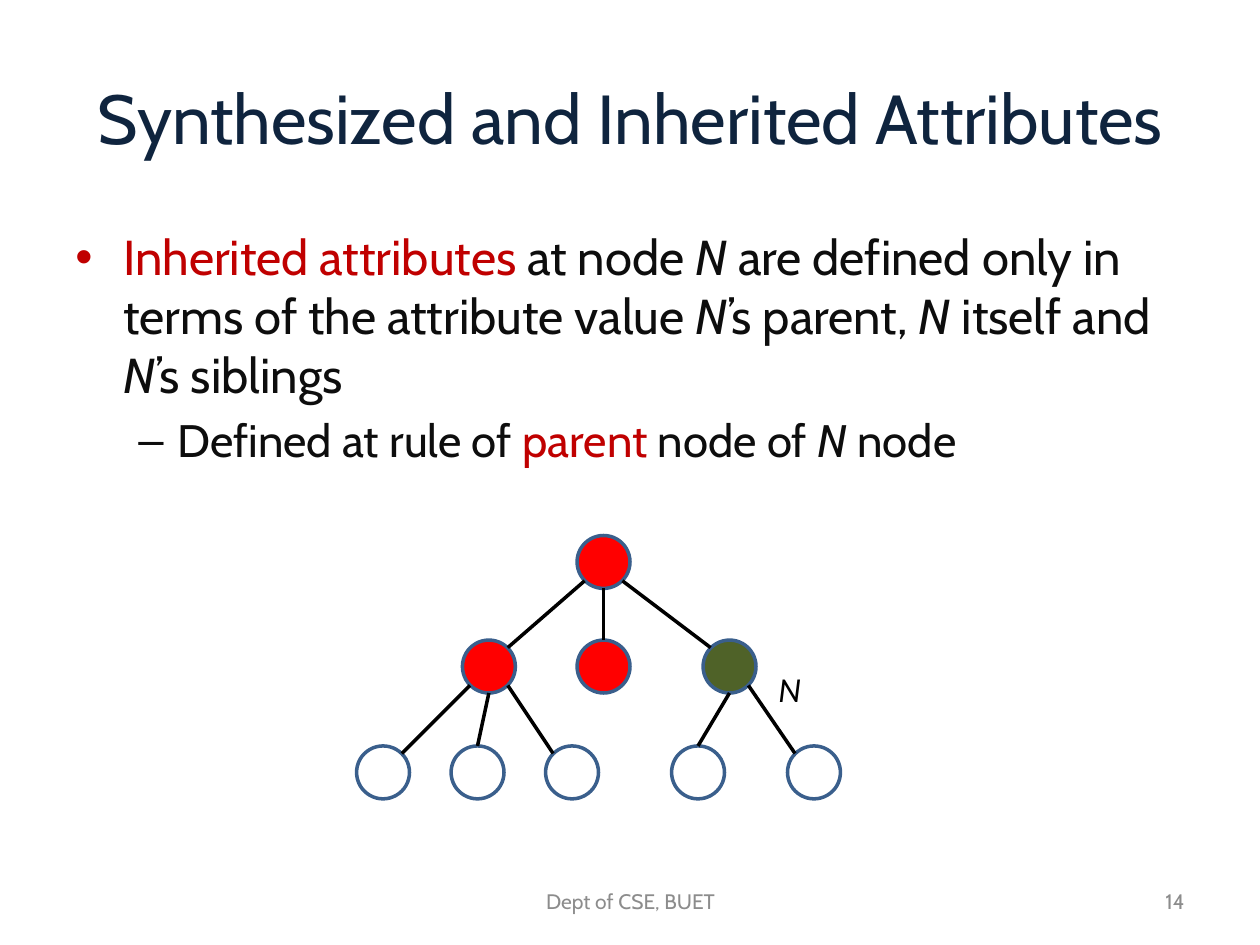
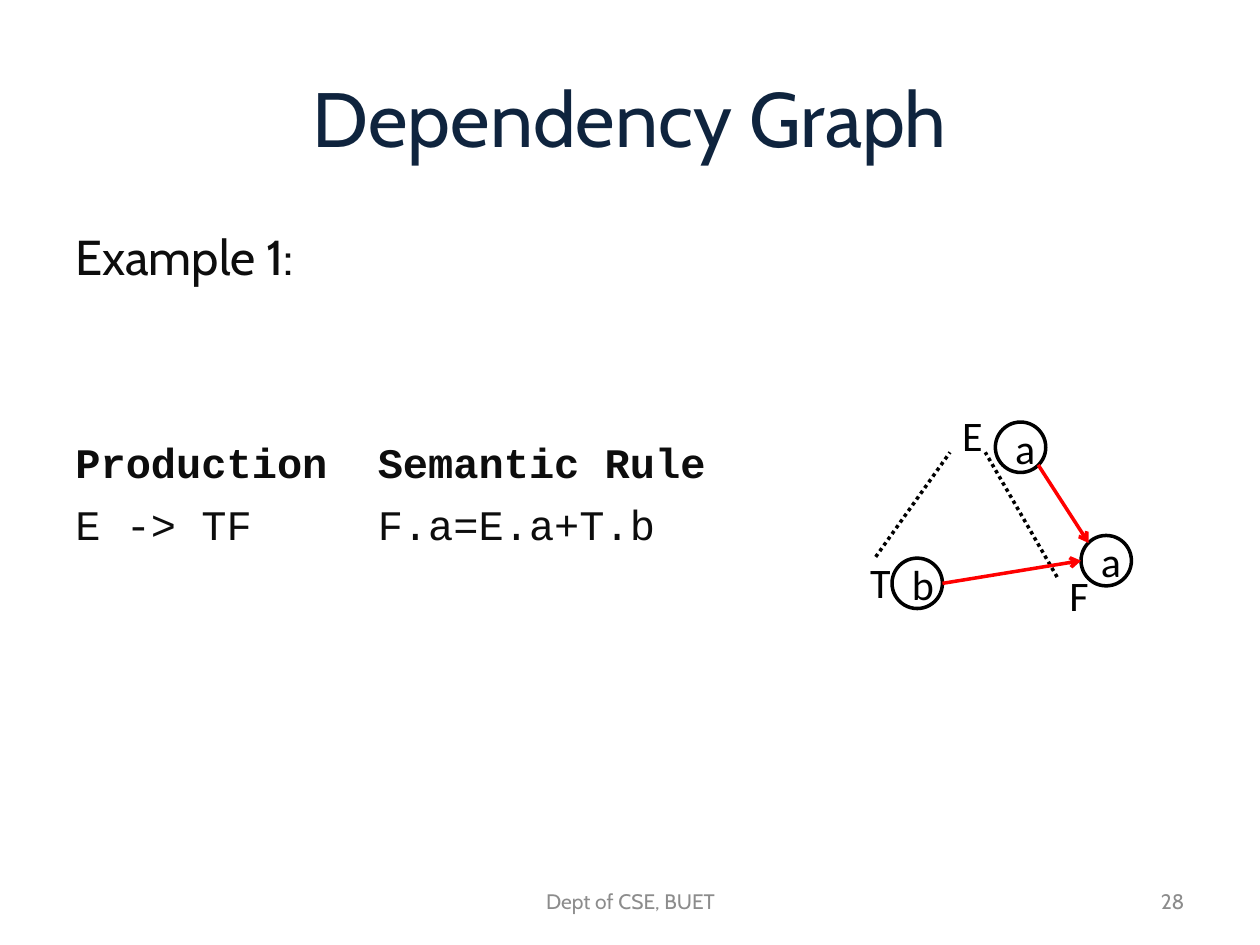
"""Build two lecture slides: inherited attributes in a tree and a dependency graph."""
import pptx
import pptx.util
import pptx.dml.color
import pptx.enum.dml
import pptx.enum.shapes
import pptx.enum.text
import pptx.oxml
import pptx.oxml.ns

Inches = pptx.util.Inches
Pt = pptx.util.Pt
RGBColor = pptx.dml.color.RGBColor
ALIGN = pptx.enum.text.PP_ALIGN
MIDDLE = pptx.enum.text.MSO_ANCHOR.MIDDLE
OVAL = pptx.enum.shapes.MSO_SHAPE.OVAL
DOTTED = pptx.enum.dml.MSO_LINE.ROUND_DOT
NS = pptx.oxml.ns.nsdecls("a")

NAVY = RGBColor(0x0F, 0x24, 0x3E)
INK = RGBColor(0x0D, 0x0D, 0x0D)
CRIMSON = RGBColor(0xC0, 0x00, 0x00)
GREY = RGBColor(0x8C, 0x8C, 0x8C)
BLACK = RGBColor(0x00, 0x00, 0x00)
WHITE = RGBColor(0xFF, 0xFF, 0xFF)
RED = RGBColor(0xFF, 0x00, 0x00)
OLIVE = RGBColor(0x4F, 0x62, 0x28)
STEEL = RGBColor(0x3A, 0x5F, 0x8C)

TITLE_SHADOW = (
    f'<a:effectLst {NS}><a:outerShdw blurRad="38100" dist="38100" dir="2700000" algn="tl">'
    '<a:srgbClr val="000000"><a:alpha val="43000"/></a:srgbClr></a:outerShdw></a:effectLst>'
)


def add_run(p, text, size=28, font="Cabin", color=INK, bold=False, italic=False, align=None):
    r = p.add_run()
    r.text = text
    r.font.size = Pt(size)
    r.font.name = font
    r.font.color.rgb = color
    r.font.bold = bold
    r.font.italic = italic
    if align is not None:
        p.alignment = align
    return r


def add_line(s, start, end, color=BLACK, dash=None, arrow=False):
    cxn = s.shapes.add_connector(
        pptx.enum.shapes.MSO_CONNECTOR.STRAIGHT, *[Inches(v) for v in (*start, *end)])
    cxn.line.color.rgb = color
    cxn.line.width = Pt(2)
    if dash is not None:
        cxn.line.dash_style = dash
    if arrow:
        cxn.line._get_or_add_ln().append(pptx.oxml.parse_xml(f'<a:tailEnd {NS} type="arrow"/>'))
    cxn._element.spPr.append(pptx.oxml.parse_xml(f"<a:effectLst {NS}/>"))


prs = pptx.Presentation()
prs.slide_width = Inches(10)
prs.slide_height = Inches(7.5)

slides = []
bodies = []
for title, size, number in [
    ("Synthesized and Inherited Attributes", 39.6, "14"),
    ("Dependency Graph", 44, "28"),
]:
    s = prs.slides.add_slide(prs.slide_layouts[5])
    sp = s.shapes.title
    sp.left, sp.top, sp.width, sp.height = [Inches(v) for v in (0.5, 0.3, 9, 1.25)]
    tf = sp.text_frame
    tf.word_wrap = True
    tf.auto_size = pptx.enum.text.MSO_AUTO_SIZE.NONE
    tf.vertical_anchor = MIDDLE
    r = add_run(tf.paragraphs[0], title, size=size, color=NAVY, align=ALIGN.CENTER)
    fill = r._r.rPr.find(pptx.oxml.ns.qn("a:solidFill"))
    fill.addnext(pptx.oxml.parse_xml(TITLE_SHADOW))

    body = s.shapes.add_textbox(Inches(0.5), Inches(1.75), Inches(9), Inches(4.95)).text_frame
    body.word_wrap = True

    for text, left, width, align in [
        ("Dept of CSE, BUET", 3.42, 3.17, ALIGN.CENTER),
        (number, 7.17, 2.33, ALIGN.RIGHT),
    ]:
        tf = s.shapes.add_textbox(Inches(left), Inches(6.95), Inches(width), Inches(0.4)).text_frame
        tf.word_wrap = True
        tf.vertical_anchor = MIDDLE
        add_run(tf.paragraphs[0], text, size=12, color=GREY, align=align)
    slides.append(s)
    bodies.append(body)

s, tf = slides[0], bodies[0]
points = [
    ("\u2022", 0.38, 0.38, 28, [
        ("Inherited attributes", CRIMSON), (" at node ", INK), ("N", INK),
        (" are defined only in terms of the attribute value ", INK), ("N", INK),
        ("\u2019s parent, ", INK), ("N", INK), (" itself and ", INK), ("N", INK),
        ("\u2019s siblings", INK)]),
    ("\u2013", 0.81, 0.31, 26, [
        ("Defined at rule of ", INK), ("parent", CRIMSON), (" node of ", INK),
        ("N", INK), (" node", INK)]),
]
for i, (bullet, margin, hanging, size, runs) in enumerate(points):
    p = tf.add_paragraph() if i else tf.paragraphs[0]
    p.level = i
    p.space_before = Pt(0.2 * size)
    for text, color in runs:
        add_run(p, text, size=size, color=color, italic=text == "N")
    pPr = p._p.get_or_add_pPr()
    pPr.set("marL", str(Inches(margin)))
    pPr.set("indent", str(-Inches(hanging)))
    pPr.append(pptx.oxml.parse_xml(f'<a:buFont {NS} typeface="Arial"/>'))
    pPr.append(pptx.oxml.parse_xml(f'<a:buChar {NS} char="{bullet}"/>'))

NODE = 0.42
LEVELS = [4.46, 5.29, 6.13]
nodes = {
    "root": (4.79, 0, RED, None),
    "left": (3.88, 1, RED, "root"),
    "middle": (4.79, 1, RED, "root"),
    "n": (5.79, 1, OLIVE, "root"),
    "n1": (5.54, 2, None, "n"),
    "n2": (6.46, 2, None, "n"),
    "left1": (3.04, 2, None, "left"),
    "left2": (3.79, 2, None, "left"),
    "left3": (4.54, 2, None, "left"),
}
for x, level, color, parent in nodes.values():
    sp = s.shapes.add_shape(OVAL, Inches(x - NODE / 2), Inches(LEVELS[level] - NODE / 2),
                            Inches(NODE), Inches(NODE))
    sp.shadow.inherit = False
    sp.line.color.rgb = STEEL
    sp.line.width = Pt(2)
    if color is None:
        sp.fill.background()
    else:
        sp.fill.solid()
        sp.fill.fore_color.rgb = color

for x, level, color, parent in nodes.values():
    if parent:
        px = nodes[parent][0]
        side = 0 if abs(x - px) < 0.5 else (1 if x > px else -1)
        dx, dy = 0.15 * side, 0.15 if side else NODE / 2
        add_line(s, (px + dx, LEVELS[level - 1] + dy), (x - dx, LEVELS[level] - dy))

tf = s.shapes.add_textbox(Inches(6.08), Inches(5.25), Inches(0.38), Inches(0.44)).text_frame
tf.word_wrap = False
add_run(tf.paragraphs[0], "N", size=20, font="Calibri", color=BLACK, italic=True)

s, tf = slides[1], bodies[1]
for i, (text, gap, size, font, bold) in enumerate([
    ("Example 1:", 5.6, 28, "Cabin", False),
    ("Production\tSemantic Rule", 86, 24, "Courier New", True),
    ("E -> TF\tF.a=E.a+T.b", 7, 24, "Courier New", False),
]):
    p = tf.add_paragraph() if i else tf.paragraphs[0]
    p.space_before = Pt(gap)
    add_run(p, text, size=size, font=font, bold=bold)
    if "\t" in text:
        p._p.get_or_add_pPr().append(pptx.oxml.parse_xml(
            f'<a:tabLst {NS}><a:tab pos="{Inches(2.4)}" algn="l"/></a:tabLst>'))

symbols = [("E", 7.48, 3.25), ("T", 6.75, 4.42), ("F", 8.33, 4.52)]
attributes = [("a", 7.9, 3.35), ("b", 7.08, 4.43), ("a", 8.58, 4.25)]
for group, outline in [(symbols, WHITE), (attributes, BLACK)]:
    for text, left, top in group:
        sp = s.shapes.add_shape(OVAL, Inches(left), Inches(top), Inches(0.4), Inches(0.4))
        sp.shadow.inherit = False
        sp.line.color.rgb = outline
        sp.line.width = Pt(2)
        if text == "b":
            sp.fill.background()
        else:
            sp.fill.solid()
            sp.fill.fore_color.rgb = WHITE
        add_run(sp.text_frame.paragraphs[0], text, size=24, font="Calibri", color=BLACK,
                align=ALIGN.CENTER)
    if group is symbols:
        add_line(s, (6.95, 4.42), (7.54, 3.59), dash=DOTTED)
        add_line(s, (8.39, 4.58), (7.82, 3.59), dash=DOTTED)

add_line(s, (7.48, 4.63), (8.58, 4.45), color=RED, arrow=True)
add_line(s, (8.24, 3.69), (8.64, 4.31), color=RED, arrow=True)

prs.save("out.pptx")
